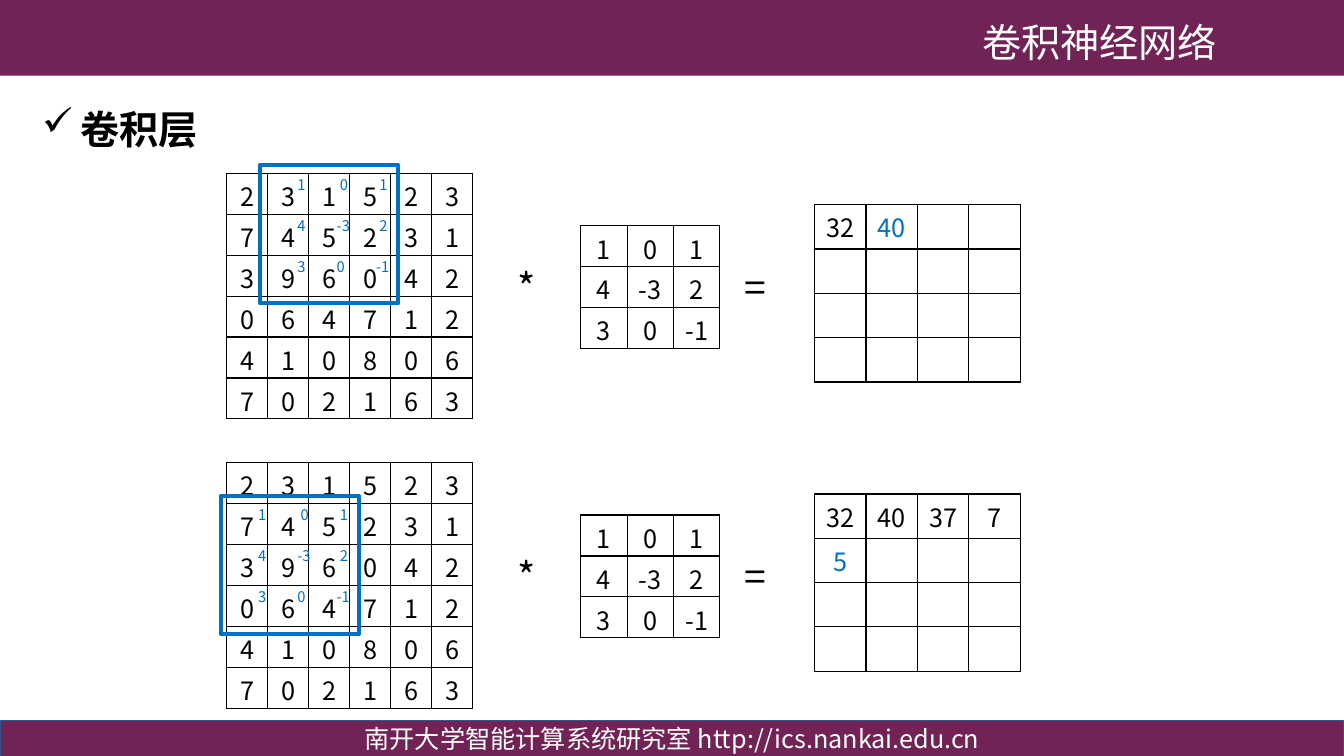
import pptx
import pptx.util
import pptx.dml.color
import pptx.enum.shapes
import pptx.enum.text
import pptx.oxml.ns
import lxml.etree

COLORS = {"plum": "712355", "edge": "325491", "blue": "0070C0", "black": "000000", "white": "FFFFFF"}
Inches = pptx.util.Inches
ALIGN = pptx.enum.text.PP_ALIGN
ANCHOR = pptx.enum.text.MSO_ANCHOR

INPUT = ["231523", "745231", "396042", "064712", "410806", "702163"]
KERNEL = [["1", "0", "1"], ["4", "-3", "2"], ["3", "0", "-1"]]
WEIGHTS = [["1", " 0", " 1"], ["4", "-3", " 2"], ["3", "0", "-1"]]
STEPS = [
    {"top": 1.72, "window": (2.58, 1.64), "result": ["32", "40"], "newest": 1},
    {"top": 4.59, "window": (2.19, 4.92), "result": ["32", "40", "37", "7", "5"], "newest": 4},
]


def rgb(name):
    return pptx.dml.color.RGBColor.from_string(COLORS[name])


def child(parent, tag, **attributes):
    return lxml.etree.SubElement(parent, pptx.oxml.ns.qn(tag), **attributes)


def write(frame, text, size=18, color="black", bold=False, align=ALIGN.LEFT, spacing=None, bullet=None):
    paragraph = frame.paragraphs[0]
    paragraph.alignment = align
    if spacing:
        paragraph.line_spacing = spacing
    if bullet:
        properties = paragraph._p.get_or_add_pPr()
        properties.set("marL", str(Inches(0.38)))
        properties.set("indent", str(-Inches(0.38)))
        child(properties, "a:buChar", char=bullet)
    run = paragraph.add_run()
    run.text = text
    run.font.size = pptx.util.Pt(size)
    run.font.bold = bold
    run.font.color.rgb = rgb(color)
    run.font.name = "Noto Sans CJK SC"
    child(run._r.get_or_add_rPr(), "a:ea", typeface="Noto Sans CJK SC")


class ConvolutionSlide:
    def __init__(self, deck):
        self.slide = deck.slides.add_slide(deck.slide_layouts[6])

    def rect(self, left, top, width, height, fill=None, line=None, weight=1):
        shape = self.slide.shapes.add_shape(
            pptx.enum.shapes.MSO_SHAPE.RECTANGLE, Inches(left), Inches(top), Inches(width), Inches(height))
        shape.shadow.inherit = False
        if fill:
            shape.fill.solid()
            shape.fill.fore_color.rgb = rgb(fill)
        else:
            shape.fill.background()
        if line:
            shape.line.color.rgb = rgb(line)
            shape.line.width = pptx.util.Pt(weight)
        else:
            shape.line.fill.background()
        return shape

    def text(self, text, left, top, width, height, **style):
        box = self.slide.shapes.add_textbox(Inches(left), Inches(top), Inches(width), Inches(height))
        box.text_frame.word_wrap = True
        write(box.text_frame, text, **style)

    def matrix(self, rows, left, top, column, row, border=True, highlight=None, **style):
        count = len(rows[0])
        frame = self.slide.shapes.add_table(
            len(rows), count, Inches(left), Inches(top), Inches(column * count), Inches(row * len(rows)))
        table = frame.table
        table.first_row = table.horz_banding = False
        for table_column in table.columns:
            table_column.width = Inches(column)
        for r, values in enumerate(rows):
            table.rows[r].height = Inches(row)
            for c, value in enumerate(values):
                cell = table.cell(r, c)
                cell.margin_top, cell.margin_bottom = Inches(0.04), 0
                if value:
                    cell_style = dict(style, color="blue") if (r, c) == highlight else style
                    write(cell.text_frame, value, **cell_style)
                self.borders(cell, border)
                cell.fill.background()

    def borders(self, cell, visible):
        properties = cell._tc.get_or_add_tcPr()
        for side in ("a:lnL", "a:lnR", "a:lnT", "a:lnB"):
            line = child(properties, side, w=str(pptx.util.Pt(1)))
            if visible:
                child(child(line, "a:solidFill"), "a:srgbClr", val=COLORS["black"])
            else:
                child(line, "a:noFill")

    def step(self, top, window, result, newest):
        center = ALIGN.CENTER
        self.matrix(INPUT, 2.25, top, 0.407, 0.406, align=center)
        self.text("*", 5.03, top + 0.84, 0.44, 0.57, size=28)
        self.matrix(KERNEL, 5.76, top + 0.52, 0.46, 0.406, align=center)
        self.text("=", 7.29, top + 0.84, 0.44, 0.57, size=28)
        padded = result + [""] * (16 - len(result))
        output = [padded[i:i + 4] for i in range(0, 16, 4)]
        self.matrix(output, 8.08, top + 0.31, 0.51, 0.44, highlight=divmod(newest, 4), align=center)
        left, upper = window
        self.rect(left, upper, 1.37, 1.37, line="blue", weight=3)
        self.matrix(WEIGHTS, left + 0.27, upper + 0.04, 0.39, 0.406, border=False, size=10.5, color="blue")


def main():
    deck = pptx.Presentation()
    deck.slide_width, deck.slide_height = Inches(13.33), Inches(7.5)
    page = ConvolutionSlide(deck)
    page.rect(0, 0, 13.33, 0.75, fill="plum")
    page.text("卷积神经网络", 4.28, 0.13, 7.89, 0.57, size=28, color="white", align=ALIGN.RIGHT)
    footer = page.rect(0, 7.15, 13.33, 0.36, fill="plum", line="edge")
    footer.text_frame.vertical_anchor = ANCHOR.MIDDLE
    write(footer.text_frame, "南开大学智能计算系统研究室 http://ics.nankai.edu.cn", color="white", align=ALIGN.CENTER)
    page.text("卷积层", 0.32, 0.76, 12.73, 0.88, size=28, bold=True, spacing=1.5, bullet="✓")
    for step in STEPS:
        page.step(**step)
    deck.save("out.pptx")


if __name__ == "__main__":
    main()
